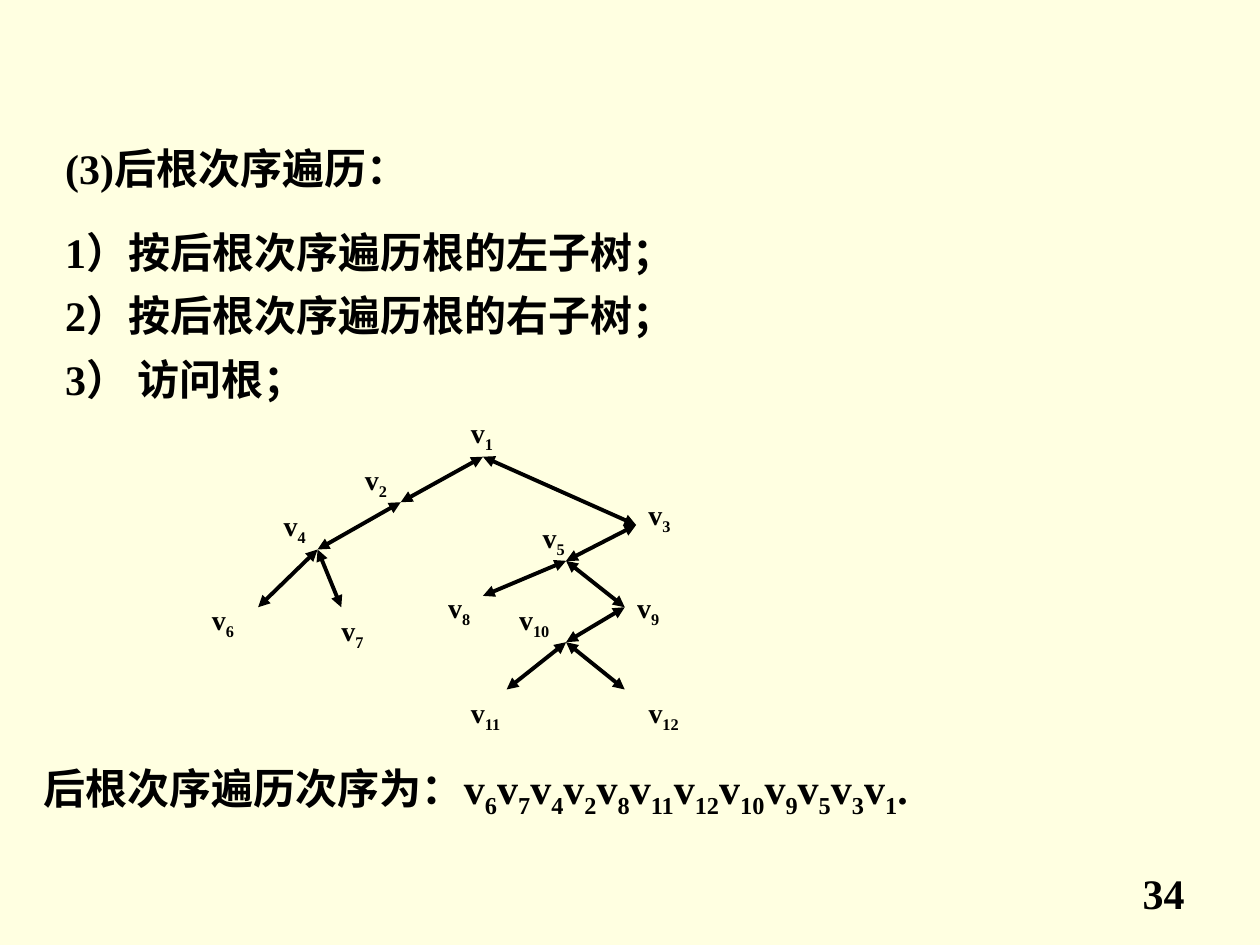
from dataclasses import dataclass

from lxml import etree
from pptx import Presentation
from pptx.dml.color import RGBColor
from pptx.enum.shapes import MSO_CONNECTOR
from pptx.enum.text import MSO_ANCHOR, MSO_AUTO_SIZE, PP_ALIGN
from pptx.oxml.ns import qn
from pptx.util import Pt

COLORS = {"background": "FFFFE1", "ink": "000000"}
STRAIGHT = MSO_CONNECTOR.STRAIGHT
LEFT, RIGHT = PP_ALIGN.LEFT, PP_ALIGN.RIGHT
TOP = MSO_ANCHOR.TOP
NO_FIT = MSO_AUTO_SIZE.NONE

HEADING = "(3)后根次序遍历："
STEPS = ["1）按后根次序遍历根的左子树；", "2）按后根次序遍历根的右子树；", "3） 访问根；"]


@dataclass
class Node:
    joint: tuple
    label: tuple
    children: tuple = ()


TREE = {
    1: Node((276, 261), (262, 234), (2, 3)),
    2: Node((229, 287), (201.5, 260.5), (4,)),
    3: Node((363.5, 300), (363.5, 281), (5,)),
    4: Node((181.5, 314), (155, 287), (6, 7)),
    5: Node((323.5, 320.5), (303, 294), (8, 9)),
    6: Node((147.5, 347), (114, 340.5)),
    7: Node((195, 347), (188, 347)),
    8: Node((276, 340.5), (249, 334)),
    9: Node((357, 347), (357, 334), (10,)),
    10: Node((323.5, 367), (289.5, 340.5), (11, 12)),
    11: Node((289.5, 394), (262, 394)),
    12: Node((357, 394), (363.5, 394)),
}


def post_order(number):
    visited = [step for child in TREE[number].children for step in post_order(child)]
    return visited + [number]


def vertex(number):
    """Return (text, is_subscript) pieces naming one vertex."""
    return [("v", False), (str(number), True)]


class SlideBuilder:
    def __init__(self, slide, font_name="Times New Roman"):
        self.slide = slide
        self.font_name = font_name
        fill = slide.background.fill
        fill.solid()
        fill.fore_color.rgb = self.color("background")

    def color(self, name):
        return RGBColor.from_string(COLORS[name])

    def style_paragraph(self, para, size, align=LEFT):
        para.alignment = align
        font = para.font
        font.name = self.font_name
        font.size = Pt(size)
        font.bold = True
        font.color.rgb = self.color("ink")

    def place(self, shape, left, top, width, height):
        shape.left, shape.top = Pt(left), Pt(top)
        shape.width, shape.height = Pt(width), Pt(height)

    def placeholder(self, index, lines, bounds, gap=0):
        """Fill a template placeholder with plain, unbulleted lines."""
        box = self.slide.placeholders[index]
        self.place(box, *bounds)
        frame = box.text_frame
        frame.text = "\n".join(lines)
        frame.auto_size = NO_FIT
        frame.vertical_anchor = TOP
        for position, para in enumerate(frame.paragraphs):
            properties = para._p.get_or_add_pPr()
            properties.set("marL", "0")
            properties.set("indent", "0")
            para.space_before = Pt(gap if position else 0)
            etree.SubElement(properties, qn("a:buNone"))
            self.style_paragraph(para, 24)

    def text(self, pieces, bounds, size, align=LEFT, wrap=True):
        box = self.slide.shapes.add_textbox(*map(Pt, bounds))
        box.text_frame.word_wrap = wrap
        para = box.text_frame.paragraphs[0]
        self.style_paragraph(para, size, align)
        for content, is_subscript in pieces:
            span = para.add_run()
            span.text = content
            if is_subscript:
                span._r.get_or_add_rPr().set("baseline", "-25000")

    def edge(self, start, end):
        """Draw a line with an arrowhead at both ends."""
        edge = self.slide.shapes.add_connector(STRAIGHT, *map(Pt, start + end))
        edge.line.color.rgb = self.color("ink")
        edge.line.width = Pt(2.25)
        line = edge.line._get_or_add_ln()
        for tag in ("a:headEnd", "a:tailEnd"):
            etree.SubElement(line, qn(tag), type="triangle")
        etree.SubElement(edge._element.spPr, qn("a:effectLst"))


def main():
    deck = Presentation()
    deck.slide_width, deck.slide_height = Pt(720), Pt(540)
    page = SlideBuilder(deck.slides.add_slide(deck.slide_layouts[1]))

    page.placeholder(0, [HEADING], (30, 78, 624, 42))
    page.placeholder(1, STEPS, (30, 126, 624, 126), gap=7.25)

    for node in TREE.values():
        for child in node.children:
            page.edge(node.joint, TREE[child].joint)
    for number, node in TREE.items():
        width = 28 if number < 10 else 40
        page.text(vertex(number), (*node.label, width, 29.5), 16, wrap=False)

    order = [piece for number in post_order(1) for piece in vertex(number)]
    answer = [("后根次序遍历次序为：", False), *order, (".", False)]
    page.text(answer, (18, 432, 630, 40), 24)
    page.text([("34", False)], (534, 492, 150, 36), 24, align=RIGHT)

    deck.save("out.pptx")


if __name__ == "__main__":
    main()
